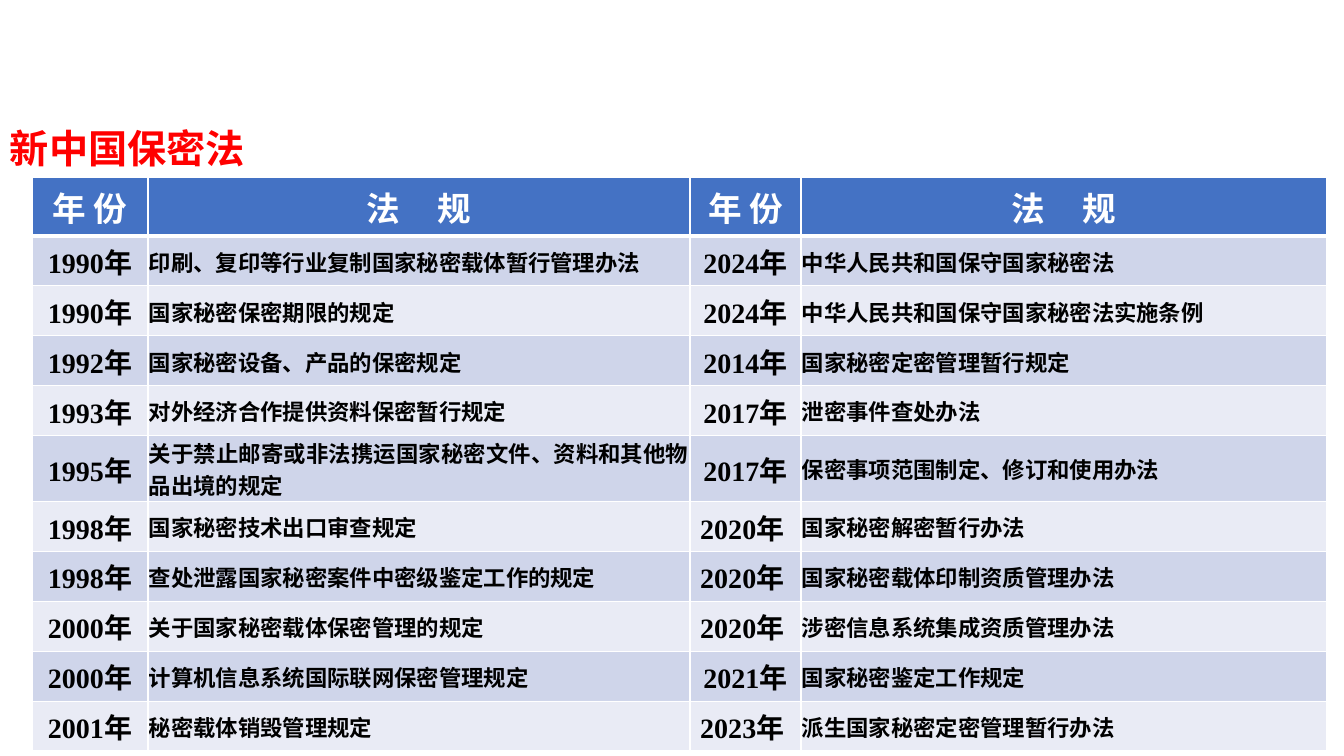
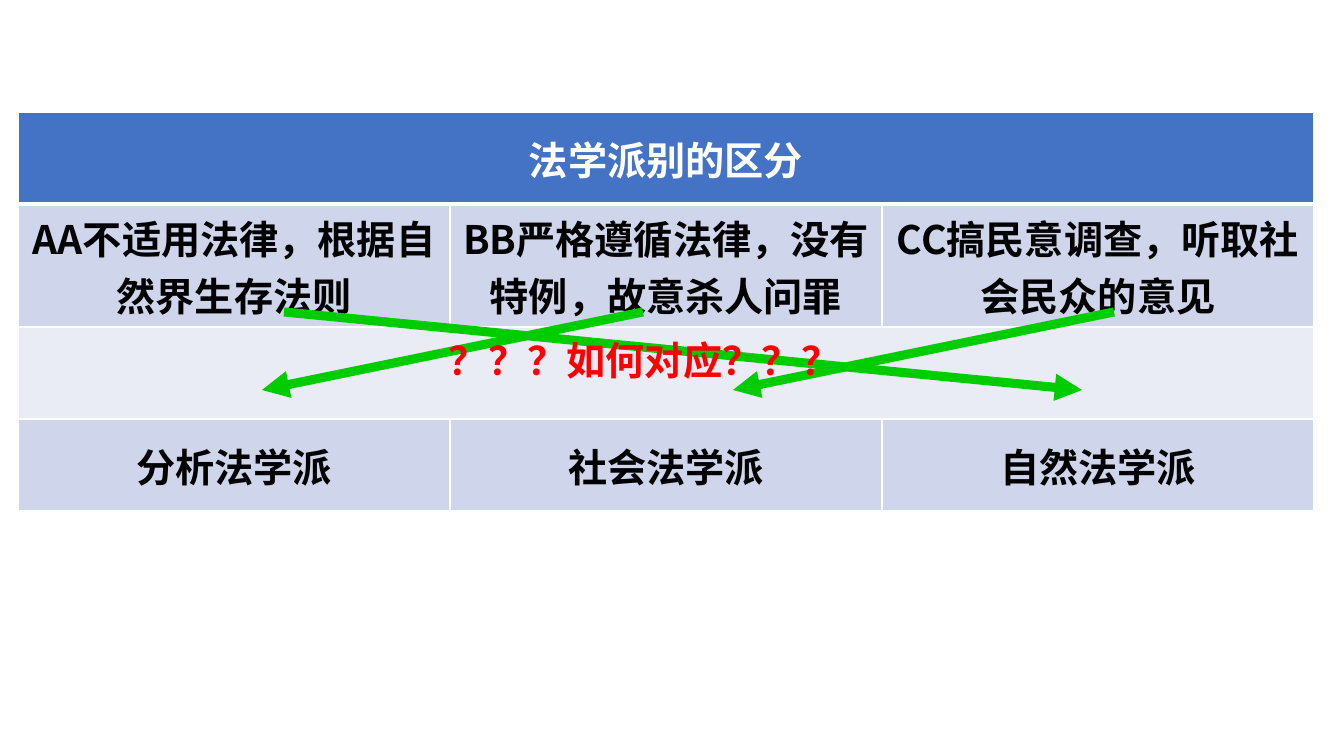
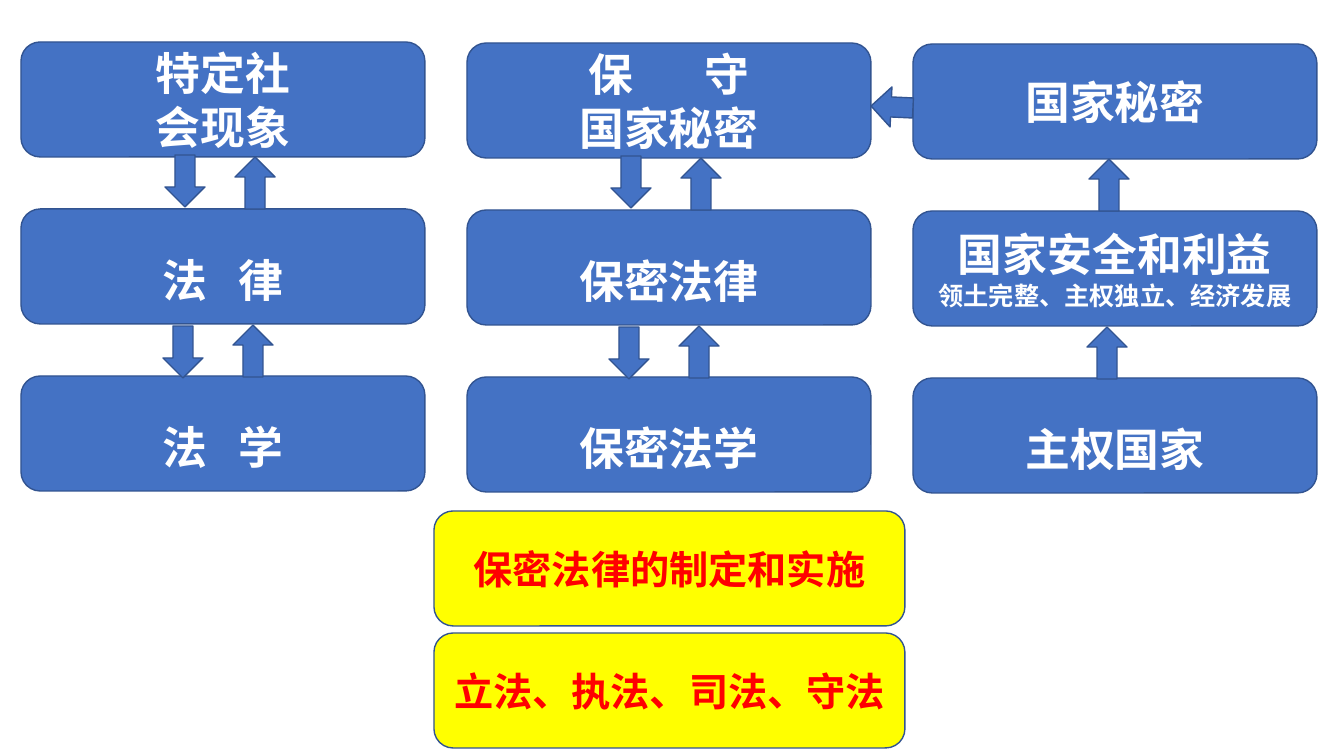
"""Build three slides on secrecy law: a table of rules, schools of law, and a concept map."""
from lxml import etree
from pptx import Presentation
from pptx.dml.color import RGBColor
from pptx.enum.shapes import MSO_CONNECTOR, MSO_SHAPE
from pptx.enum.text import MSO_ANCHOR, PP_ALIGN
from pptx.oxml.ns import qn
from pptx.util import Emu, Pt

LEFT, CENTER, JUSTIFY = PP_ALIGN.LEFT, PP_ALIGN.CENTER, PP_ALIGN.JUSTIFY
MIDDLE = MSO_ANCHOR.MIDDLE
ROUND, DOWN = MSO_SHAPE.ROUNDED_RECTANGLE, MSO_SHAPE.DOWN_ARROW
STRAIGHT = MSO_CONNECTOR.STRAIGHT
BLUE = RGBColor(0x44, 0x72, 0xC4)
NAVY = RGBColor(0x32, 0x54, 0x91)
DARK = RGBColor(0xCF, 0xD5, 0xEA)
LIGHT = RGBColor(0xE9, 0xEB, 0xF5)
WHITE = RGBColor(0xFF, 0xFF, 0xFF)
BLACK = RGBColor(0x00, 0x00, 0x00)
RED = RGBColor(0xFF, 0x00, 0x00)
GREEN = RGBColor(0x00, 0xCC, 0x00)
YELLOW = RGBColor(0xFF, 0xFF, 0x00)
SANS, SERIF = "Noto Sans CJK SC", "Times New Roman"
PX = 914400 / 100.8


def write(frame, text, size=28, color=WHITE, font=SANS, align=CENTER, lead=None, gap=0):
    """Add one bold paragraph; gap widens the text around its first space, in points."""
    para = frame.paragraphs[0]
    if para.runs:
        para = frame.add_paragraph()
    para.alignment = align
    if lead:
        para.line_spacing = lead
    head, blank, tail = text.partition(" ") if gap else (text, "", "")
    for part, space in ((head + blank, gap), (tail, 0)):
        if part:
            run = para.add_run()
            run.text = part
            run.font.size, run.font.bold = Pt(size), True
            run.font.color.rgb = color
            run.font.name = font
            props = run.font._element
            etree.SubElement(props, qn("a:ea"), typeface=SANS)
            if space:
                props.set("spc", str(int(space * 100)))


def paint(cell, row):
    """Give a cell the fill and white borders of its row."""
    props = cell._tc.get_or_add_tcPr()
    thick = {("lnB", 0), ("lnT", 1)}
    for side in ("lnL", "lnR", "lnT", "lnB"):
        width = Pt(3 if (side, row) in thick else 1)
        line = etree.SubElement(props, qn("a:" + side), w=str(width))
        fill = etree.SubElement(line, qn("a:solidFill"))
        etree.SubElement(fill, qn("a:srgbClr"), val=str(WHITE))
    cell.fill.solid()
    cell.fill.fore_color.rgb = BLUE if row == 0 else DARK if row % 2 else LIGHT
    cell.vertical_anchor = MIDDLE


deck = Presentation()
deck.slide_width, deck.slide_height = Emu(12192000), Emu(6858000)
blank = deck.slide_layouts[6]
laws, schools, ideas = [deck.slides.add_slide(blank).shapes for _ in range(3)]

rules = [
    ("年 份", "法 规", "年 份", "法 规"),
    ("1990年", "印刷、复印等行业复制国家秘密载体暂行管理办法", "2024年", "中华人民共和国保守国家秘密法"),
    ("1990年", "国家秘密保密期限的规定", "2024年", "中华人民共和国保守国家秘密法实施条例"),
    ("1992年", "国家秘密设备、产品的保密规定", "2014年", "国家秘密定密管理暂行规定"),
    ("1993年", "对外经济合作提供资料保密暂行规定", "2017年", "泄密事件查处办法"),
    ("1995年", "关于禁止邮寄或非法携运国家秘密文件、资料和其他物品出境的规定", "2017年",
     "保密事项范围制定、修订和使用办法"),
    ("1998年", "国家秘密技术出口审查规定", "2020年 ", "国家秘密解密暂行办法"),
    ("1998年", "查处泄露国家秘密案件中密级鉴定工作的规定", "2020年 ", "国家秘密载体印制资质管理办法"),
    ("2000年", "关于国家秘密载体保密管理的规定", "2020年 ", "涉密信息系统集成资质管理办法"),
    ("2000年", "计算机信息系统国际联网保密管理规定", "2021年", "国家秘密鉴定工作规定"),
    ("2001年", "秘密载体销毁管理规定", "2023年 ", "派生国家秘密定密管理暂行办法"),
]
widths = (116, 542, 111, 526)
place = [Emu(int(n * PX)) for n in (32, 177, sum(widths), 556)]
table = laws.add_table(len(rules), len(widths), *place).table
for col, width in zip(table.columns, widths):
    col.width = Emu(int(width * PX))
for r, row in enumerate(rules):
    table.rows[r].height = Emu(int((50 if r else 56) * PX))
    for c, text in enumerate(row):
        cell = table.cell(r, c)
        paint(cell, r)
        if r == 0:
            write(cell.text_frame, text, size=24, font=SERIF, gap=10.5 if c % 2 else 0)
            continue
        cell.margin_left = cell.margin_right = cell.margin_top = Emu(int(PX))
        cell.margin_bottom = 0
        write(cell.text_frame, text, size=16 if c % 2 else 20, color=BLACK, font=SERIF,
              align=JUSTIFY if c % 2 else CENTER)

place = [Emu(int(n * PX)) for n in (0, 96, 1344, 599)]
title = laws.add_textbox(*place).text_frame
title.word_wrap = True
write(title, "新中国保密法", color=RED, font=SERIF, align=LEFT, lead=1.5)

views = [
    ("法学派别的区分", "", ""),
    ("AA不适用法律，根据自然界生存法则", "BB严格遵循法律，没有特例，故意杀人问罪",
     "CC搞民意调查，听取社会民众的意见"),
    ("", "", ""),
    ("分析法学派", "社会法学派", "自然法学派"),
]
heights = (92, 123, 92, 92)
place = [Emu(int(n * PX)) for n in (18, 112, 1296, sum(heights))]
table = schools.add_table(len(views), 3, *place).table
for r, row in enumerate(views):
    table.rows[r].height = Emu(int(heights[r] * PX))
    for c, text in enumerate(row):
        cell = table.cell(r, c)
        paint(cell, r)
        if text:
            write(cell.text_frame, text, color=BLACK if r else WHITE)
for r in (0, 2):
    table.cell(r, 0).merge(table.cell(r, 2))

for start, end in ((284, 1082), (643, 262), (1114, 733)):
    ends = [Emu(int(n * PX)) for n in (start, 312, end, 390)]
    arrow = schools.add_connector(STRAIGHT, *ends)
    arrow.line.color.rgb = GREEN
    arrow.line.width = Pt(6.5)
    props = arrow._element.spPr
    etree.SubElement(props.find(qn("a:ln")), qn("a:tailEnd"), type="triangle")
    etree.SubElement(props, qn("a:effectLst"))

place = [Emu(int(n * PX)) for n in (439, 331, 407, 89)]
query = schools.add_textbox(*place).text_frame
query.word_wrap = True
write(query, "？？？如何对应？？？", color=RED, align=LEFT)

big, tall = {"size": 32}, {"size": 32, "lead": 1.5}
columns = [
    [[("特定社", big), ("会现象", big)],
     [("法 律", {**tall, "gap": 7.2})],
     [("法 学", {**tall, "gap": 7.2})]],
    [[("保 守", {**big, "gap": 21.5}), ("国家秘密", big)],
     [("保密法律", tall)],
     [("保密法学", tall)]],
    [[("国家秘密", big)],
     [("国家安全和利益", big), ("领土完整、主权独立、经济发展", {"size": 18})],
     [("主权国家", tall)]],
]
downs = [(144, 113), (142, 284)]
ups = [(214, 115), (212, 283)]
items = []
for c, column in enumerate(columns):
    x, y = 21 + 446 * c, 42 + c
    for r, lines in enumerate(column):
        items.append((ROUND, (x, y + 167 * r, 404, 115), BLUE, 0, lines))
    if c < 2:
        for dx, dy in downs:
            items.append((DOWN, (x + dx, y + dy, 40, 52), BLUE, 0, []))
    else:
        items.append((DOWN, (872, 86, 40, 42), BLUE, 92.7, []))
    for dx, dy in ups:
        shift = 38 if c == 2 else 0
        items.append((DOWN, (x + dx - shift, y + dy, 40, 52), BLUE, 180, []))
for r, text in enumerate(("保密法律的制定和实施", "立法、执法、司法、守法")):
    items.append((ROUND, (434, 511 + 122 * r, 471, 115), YELLOW, 0, [(text, {"color": RED})]))

for kind, area, fill, turn, lines in items:
    shape = ideas.add_shape(kind, *[Emu(int(n * PX)) for n in area])
    shape.shadow.inherit = False
    shape.fill.solid()
    shape.fill.fore_color.rgb = fill
    shape.line.color.rgb = NAVY
    shape.line.width = Pt(1)
    shape.rotation = turn
    shape.text_frame.vertical_anchor = MIDDLE
    for text, form in lines:
        write(shape.text_frame, text, **form)

deck.save("out.pptx")
